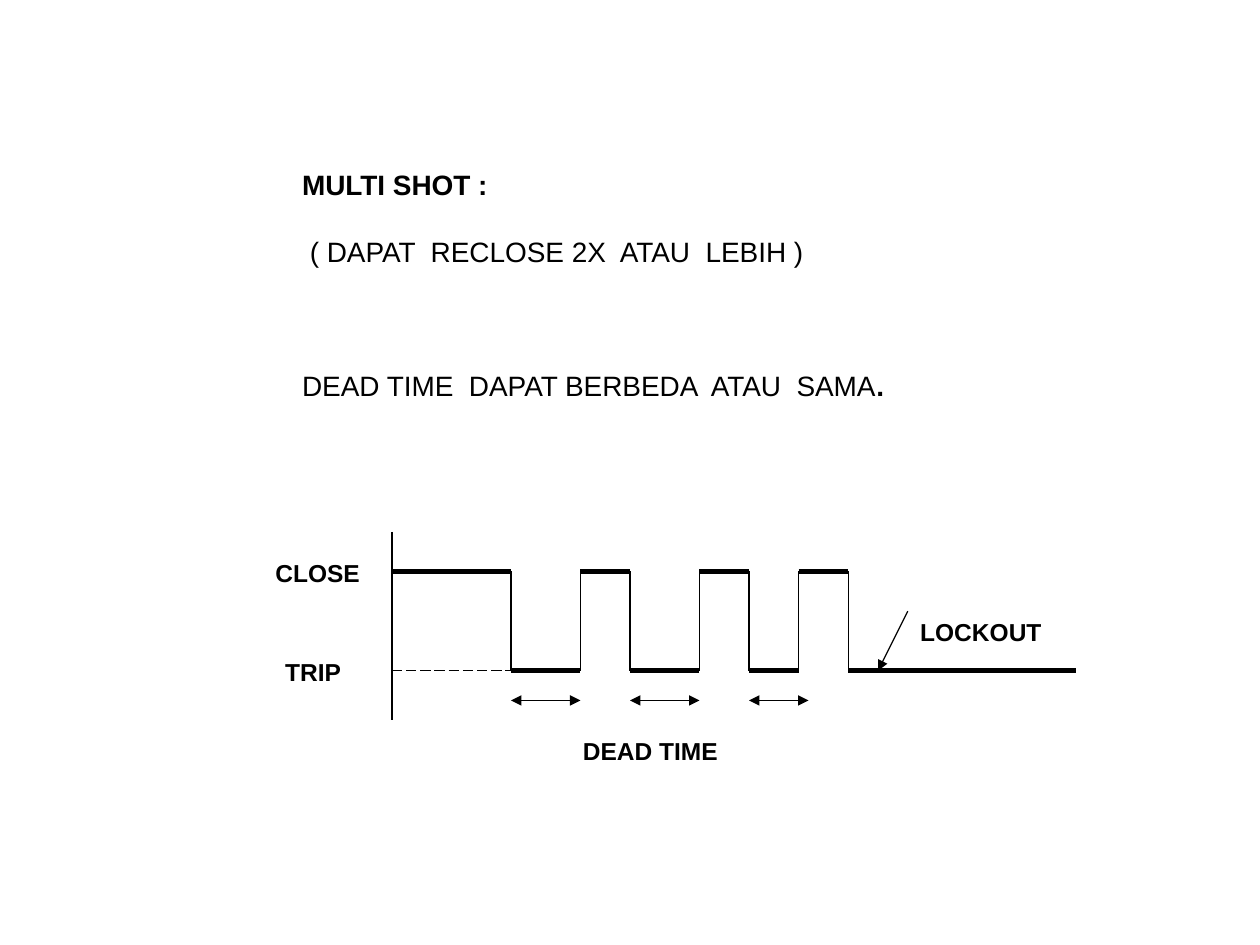
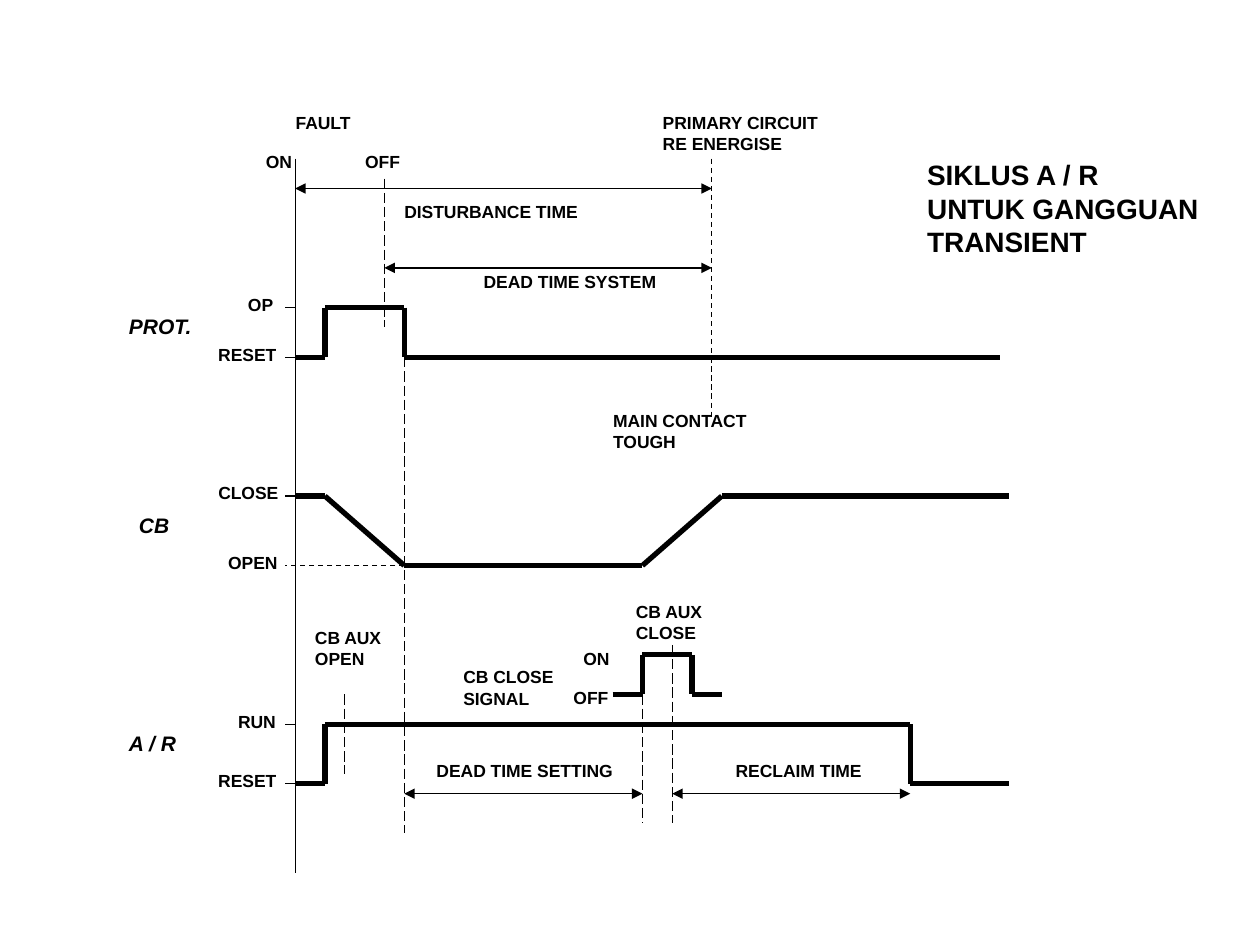
import itertools

import pptx
import pptx.dml.color
import pptx.enum.dml
import pptx.enum.shapes
import pptx.enum.text
import pptx.oxml
import pptx.oxml.ns
import pptx.util

COLUMNS = 127
THIN, THICK = 0.75, 3
INK = "000000"
SLACK = 0.04
DASH = pptx.enum.dml.MSO_LINE.DASH
LONG_DASH = pptx.enum.dml.MSO_LINE.LONG_DASH
INSETS = {"margin_left": 0.1, "margin_right": 0.1, "margin_top": 0.05, "margin_bottom": 0.05}


def color(code):
    return pptx.dml.color.RGBColor.from_string(code)


def apply(target, values):
    for name, value in values.items():
        setattr(target, name, value)


def add_xml(parent, tag, **attributes):
    element = pptx.oxml.parse_xml(f"<a:{tag} {pptx.oxml.ns.nsdecls('a')}/>")
    for name, value in attributes.items():
        element.set(name, value)
    parent.append(element)


class TimingDiagram:
    """Draws lines and labels on one slide, in grid units from an origin."""

    def __init__(self, deck, origin):
        self.slide = deck.slides.add_slide(deck.slide_layouts[6])
        self.unit = deck.slide_width / COLUMNS
        self.origin = origin

    def place(self, column, row):
        left, top = self.origin
        return round((left + column) * self.unit), round((top + row) * self.unit)

    def line(self, start, end, weight=THIN, dash=None, arrows=()):
        connector = self.slide.shapes.add_connector(
            pptx.enum.shapes.MSO_CONNECTOR.STRAIGHT, *self.place(*start), *self.place(*end))
        connector.line.color.rgb = color(INK)
        apply(connector.line, {"width": pptx.util.Pt(weight), "dash_style": dash})
        properties = connector._element.spPr
        for arrow in arrows:
            add_xml(properties.find(pptx.oxml.ns.qn("a:ln")), arrow, type="triangle")
        add_xml(properties, "effectLst")

    def trace(self, points, riser=THICK):
        for start, end in itertools.pairwise(points):
            self.line(start, end, riser if start[0] == end[0] else THICK)

    def span_arrow(self, left, right, row):
        self.line((left, row), (right, row), arrows=("headEnd", "tailEnd"))

    def label(self, column, row, width, text, size=10, italic=False):
        self.text(column, row, width, [[(line, True)] for line in text.split("\n")], size, italic)

    def text(self, column, row, width, lines, size, italic=False, gaps=None):
        gaps = gaps or [0] * len(lines)
        height = pptx.util.Inches(0.1) + pptx.util.Pt(1.2 * size * (len(lines) + sum(gaps)))
        box = self.slide.shapes.add_textbox(
            *self.place(column, row), pptx.util.Inches(width + SLACK), height)
        frame = box.text_frame
        apply(frame, {name: pptx.util.Inches(inset) for name, inset in INSETS.items()})
        apply(frame, {"word_wrap": False,
                      "auto_size": pptx.enum.text.MSO_AUTO_SIZE.SHAPE_TO_FIT_TEXT})
        for index, (spans, gap) in enumerate(zip(lines, gaps)):
            para = frame.add_paragraph() if index else frame.paragraphs[0]
            para.space_before = pptx.util.Pt(1.2 * size * gap)
            for words, bold in spans:
                span = para.add_run()
                span.text = words
                apply(span.font, {"name": "Arial", "size": pptx.util.Pt(size),
                                  "bold": bold, "italic": italic})
                span.font.color.rgb = color(INK)


def draw_multi_shot(deck):
    diagram = TimingDiagram(deck, (39.5, 53.6))
    diagram.text(-10.3, -37.35, 4.91, [
        [("MULTI SHOT :", True)],
        [(" ( DAPAT  RECLOSE 2X  ATAU  LEBIH )", False)],
        [("DEAD TIME  DAPAT BERBEDA  ATAU  SAMA", False), (".", True)],
    ], 16, gaps=[0, 1, 3])
    close, trip = 4, 14
    diagram.line((0, 0), (0, 19))
    diagram.line((0, trip), (12, trip), dash=LONG_DASH)
    edges = [0, 12, 19, 24, 31, 36, 41, 46, 69]
    levels = itertools.cycle([close, trip])
    wave = [(edge, level) for pair, level in zip(itertools.pairwise(edges), levels)
            for edge in pair]
    diagram.trace(wave, riser=THIN)
    for left, right in [(12, 19), (24, 31), (36, 42)]:
        diagram.span_arrow(left, right, 17)
    diagram.line((52, 8), (49, trip), arrows=["tailEnd"])
    for label in [(-13, 2, 0.87, "CLOSE"), (-12, 12, 0.64, "TRIP"),
                  (18, 20, 1.27, "DEAD TIME"), (52, 8, 1.16, "LOCKOUT")]:
        diagram.label(*label, size=14)


def draw_transient_cycle(deck):
    diagram = TimingDiagram(deck, (29.75, 0))
    operate, protection_reset = 31, 36
    closed, opened = 50, 57
    run, reclose_reset = 73, 79
    signal_on, signal_off = 66, 70
    trip, cleared, signal, energised, reclaimed = 3, 11, 35, 42, 62

    diagram.line((0, 16), (0, 88))
    for level in (operate, protection_reset, closed, run, reclose_reset):
        diagram.line((-1, level), (0, level))
    diagram.line((cleared, opened), (-1, opened), dash=DASH)
    diagram.line((energised, 16), (energised, 42), dash=DASH)
    for column, top, bottom in [(9, 18, 33), (cleared, protection_reset, 84), (5, 70, 78),
                                (signal, signal_off, 83), (38, 65, 83)]:
        diagram.line((column, top), (column, bottom), dash=LONG_DASH)

    diagram.trace([(0, protection_reset), (trip, protection_reset), (trip, operate),
                   (cleared, operate), (cleared, protection_reset), (71, protection_reset)])
    diagram.trace([(0, closed), (trip, closed), (cleared, opened), (signal, opened),
                   (43, closed), (72, closed)])
    diagram.trace([(0, reclose_reset), (trip, reclose_reset), (trip, run), (reclaimed, run),
                   (reclaimed, reclose_reset), (72, reclose_reset)])
    diagram.trace([(32, signal_off), (signal, signal_off), (signal, signal_on),
                   (40, signal_on), (40, signal_off), (43, signal_off)])
    for left, right, row in [(0, energised, 19), (9, energised, 27),
                             (cleared, signal, 80), (38, reclaimed, 80)]:
        diagram.span_arrow(left, right, row)

    for label in [
        (-6, operate - 2, 0.4, "OP"),
        (-9, protection_reset - 2, 0.66, "RESET"),
        (-9, closed - 2, 0.67, "CLOSE"),
        (-8, opened - 2, 0.59, "OPEN"),
        (-7, run - 2, 0.5, "RUN"),
        (-9, reclose_reset - 2, 0.66, "RESET"),
        (-1.2, 10.65, 0.65, "FAULT"),
        (-4.2, 14.6, 0.41, "ON"),
        (5.8, 14.6, 0.47, "OFF"),
        (9.75, 19.6, 1.57, "DISTURBANCE TIME"),
        (17.75, 26.65, 1.57, "DEAD TIME SYSTEM"),
        (35.8, 10.65, 1.44, "PRIMARY CIRCUIT\nRE ENERGISE"),
        (30.8, 40.65, 1.27, "MAIN CONTACT\nTOUGH"),
        (0.75, 62.6, 0.73, "CB AUX\nOPEN"),
        (33.1, 59.95, 0.73, "CB AUX\nCLOSE"),
        (27.8, 64.65, 0.41, "ON"),
        (26.8, 68.6, 0.47, "OFF"),
        (15.7, 66.55, 0.91, "CB CLOSE\nSIGNAL"),
        (13, 75.95, 1.6, "DEAD TIME SETTING"),
        (43.15, 75.95, 1.2, "RECLAIM TIME"),
    ]:
        diagram.label(*label)
    for label in [(-18, 31, 0.71, "PROT."), (-17, 51, 0.44, "CB"), (-18, 73, 0.58, "A / R")]:
        diagram.label(*label, size=12, italic=True)
    diagram.label(62.45, 15.25, 2.35, "SIKLUS A / R\nUNTUK GANGGUAN\nTRANSIENT", size=16)


def main():
    deck = pptx.Presentation()
    apply(deck, {"slide_width": pptx.util.Inches(10), "slide_height": pptx.util.Inches(7.5)})
    draw_multi_shot(deck)
    draw_transient_cycle(deck)
    deck.save("out.pptx")


if __name__ == "__main__":
    main()
